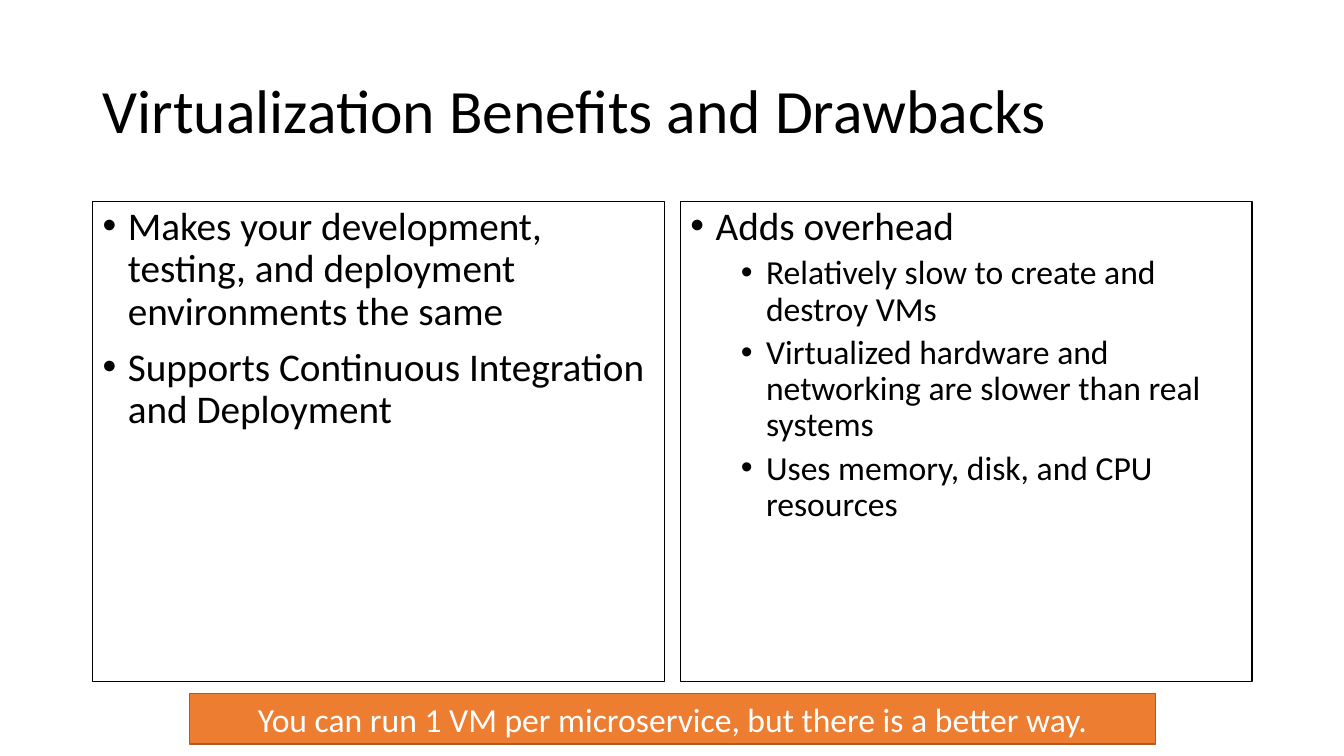
from lxml import etree
from pptx import Presentation
from pptx import util as u
from pptx.dml.color import RGBColor
from pptx.enum import shapes, text
from pptx.oxml.ns import qn

LEVELS = [
    {"size": 28, "left": 0.25, "before": 10},
    {"size": 24, "left": 0.75, "before": 5},
]
BENEFITS = [
    (0, "Makes your development, testing, and deployment environments the same"),
    (0, "Supports Continuous Integration and Deployment"),
]
DRAWBACKS = [
    (0, "Adds overhead"),
    (1, "Relatively slow to create and destroy VMs"),
    (1, "Virtualized hardware and networking are slower than real systems"),
    (1, "Uses memory, disk, and CPU resources"),
]


def rgb(value):
    """Return the colour for a hex string."""
    return RGBColor.from_string(value)


def set_attrs(obj, values):
    """Set each attribute of an object from a dict."""
    for name, value in values.items():
        setattr(obj, name, value)


def write(p, words, size, color="000000", **layout):
    """Fill a paragraph with one formatted run."""
    set_attrs(p, layout)
    r = p.add_run()
    r.text = words
    set_attrs(r.font, {"name": "Calibri", "size": u.Pt(size)})
    r.font.color.rgb = rgb(color)


def add_bullet(p, left):
    """Give a paragraph a hanging round bullet."""
    pPr = p._p.get_or_add_pPr()
    pPr.set("marL", str(u.Inches(left)))
    pPr.set("indent", str(u.Inches(-0.25)))
    etree.SubElement(pPr, qn("a:buFont")).set("typeface", "Arial")
    etree.SubElement(pPr, qn("a:buChar")).set("char", "•")


def add_title(s, box, words):
    """Add the slide title."""
    tf = s.shapes.add_textbox(*map(u.Inches, box)).text_frame
    set_attrs(tf, {"word_wrap": True, "vertical_anchor": text.MSO_ANCHOR.MIDDLE})
    write(tf.paragraphs[0], words, 44, line_spacing=0.9)


def add_box(s, box, fill, line, anchor):
    """Add an outlined rectangle and return its text frame."""
    sp = s.shapes.add_shape(shapes.MSO_SHAPE.RECTANGLE, *map(u.Inches, box))
    sp.shadow.inherit = False
    sp.fill.solid()
    sp.fill.fore_color.rgb = rgb(fill)
    sp.line.color.rgb = rgb(line)
    sp.line.width = u.Pt(1)
    tf = sp.text_frame
    set_attrs(tf, {"word_wrap": True, "vertical_anchor": anchor})
    return tf


def add_list(s, box, items):
    """Add a framed bullet list."""
    tf = add_box(s, box, "FFFFFF", "000000", text.MSO_ANCHOR.TOP)
    for i, (level, words) in enumerate(items):
        p = tf.add_paragraph() if i else tf.paragraphs[0]
        style = LEVELS[level]
        add_bullet(p, style["left"])
        write(p, words, style["size"], level=level, line_spacing=0.9,
              alignment=text.PP_ALIGN.LEFT,
              space_before=u.Pt(style["before"] if i else 0))


def add_banner(s, box, words):
    """Add the closing message bar."""
    tf = add_box(s, box, "ED7D31", "AF5C24", text.MSO_ANCHOR.TOP)
    write(tf.paragraphs[0], words, 24, "FFFFFF", alignment=text.PP_ALIGN.CENTER)


def main():
    """Build and save the slide."""
    prs = Presentation()
    set_attrs(prs, {"slide_width": u.Inches(13.33), "slide_height": u.Inches(7.5)})
    s = prs.slides.add_slide(prs.slide_layouts[6])
    add_title(s, (0.92, 0.4, 11.5, 1.45), "Virtualization Benefits and Drawbacks")
    for left, items in ((0.92, BENEFITS), (6.75, DRAWBACKS)):
        add_list(s, (left, 2, 5.67, 4.76), items)
    add_banner(s, (1.88, 6.88, 9.58, 0.5),
               "You can run 1 VM per microservice, but there is a better way.")
    prs.save("out.pptx")


if __name__ == "__main__":
    main()
